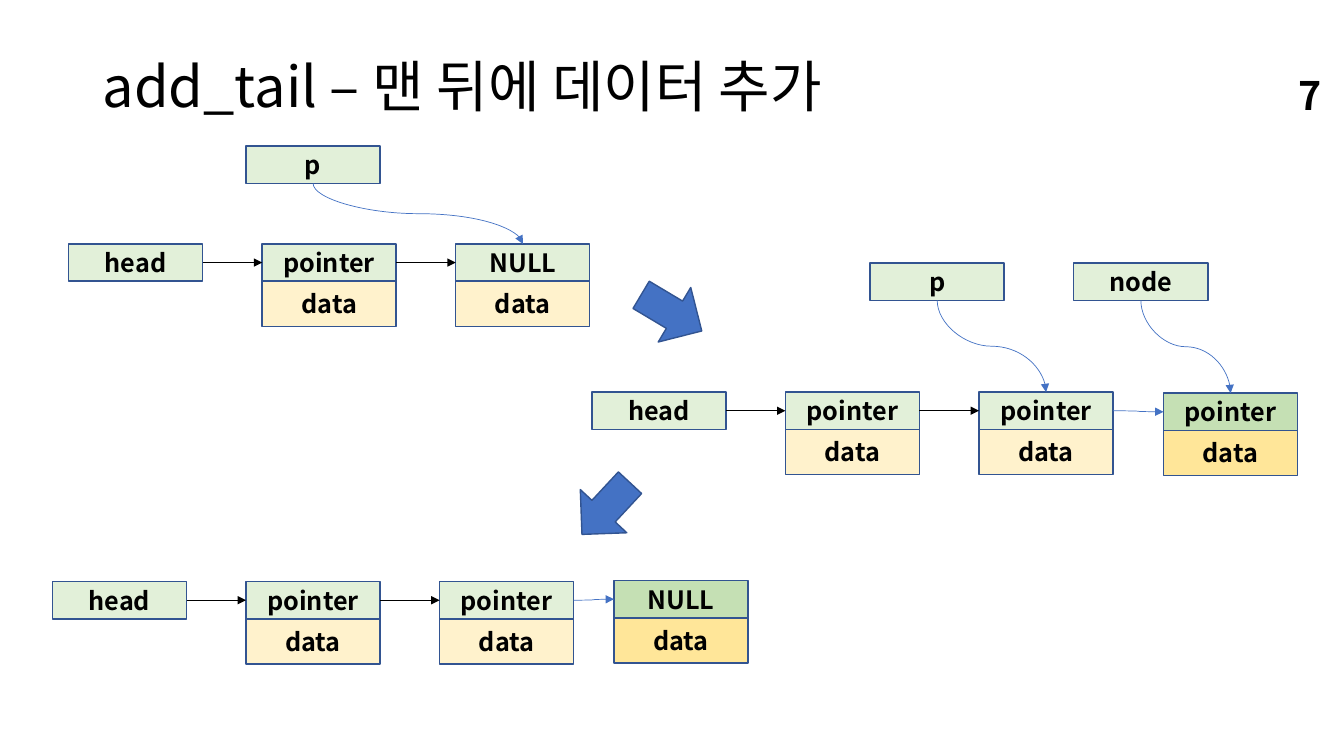
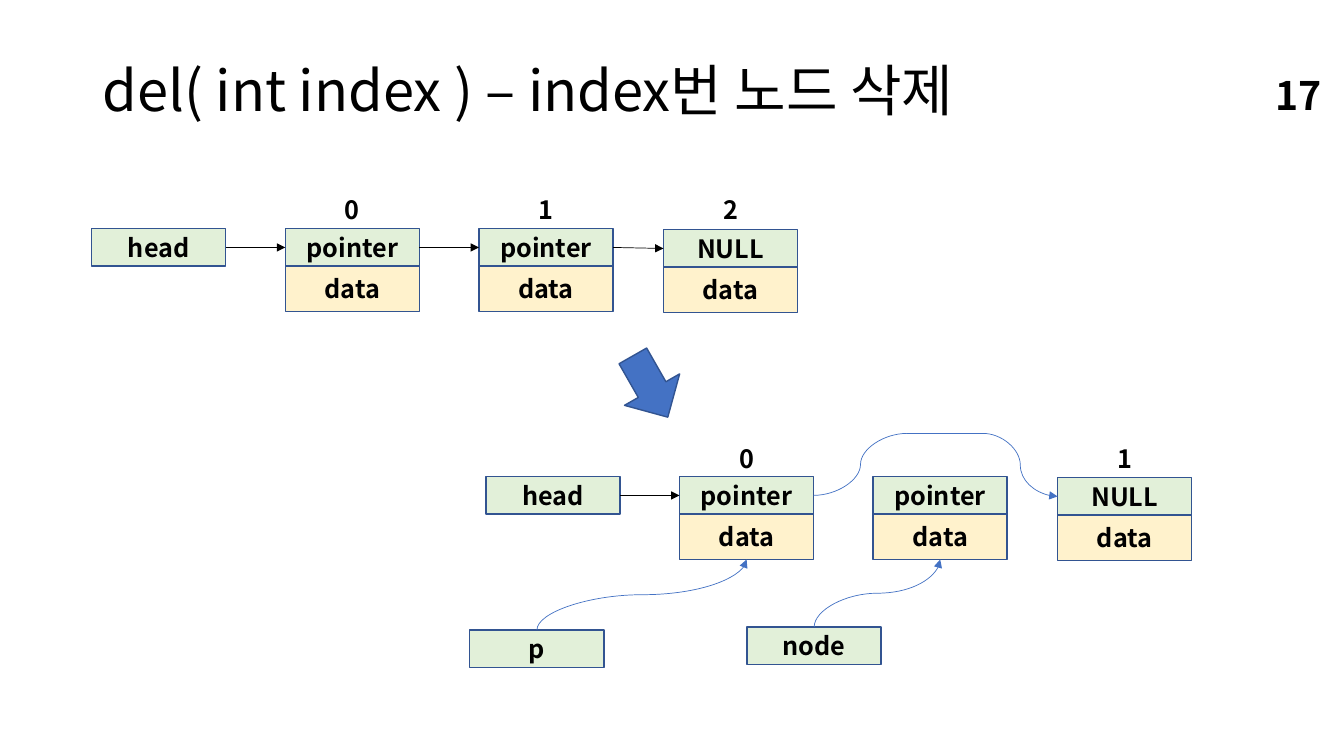
from lxml import etree
from pptx import Presentation
from pptx.dml.color import RGBColor
from pptx.enum.shapes import MSO_CONNECTOR, MSO_SHAPE
from pptx.enum.text import MSO_ANCHOR, MSO_AUTO_SIZE, PP_ALIGN
from pptx.oxml.ns import qn
from pptx.util import Inches, Pt

RECTANGLE = MSO_SHAPE.RECTANGLE
RIGHT_ARROW = MSO_SHAPE.RIGHT_ARROW
STRAIGHT = MSO_CONNECTOR.STRAIGHT
CURVE = MSO_CONNECTOR.CURVE
MIDDLE = MSO_ANCHOR.MIDDLE
TOP_ANCHOR = MSO_ANCHOR.TOP
NO_AUTOFIT = MSO_AUTO_SIZE.NONE
LEFT = PP_ALIGN.LEFT
CENTER = PP_ALIGN.CENTER
RIGHT = PP_ALIGN.RIGHT

FONT = "Noto Sans CJK KR"
BLACK = RGBColor(0x00, 0x00, 0x00)
BLUE = RGBColor(0x44, 0x72, 0xC4)
OUTLINE = RGBColor(0x32, 0x54, 0x91)
GREEN = RGBColor(0xE2, 0xF0, 0xD9)
YELLOW = RGBColor(0xFF, 0xF2, 0xCC)
NEW_GREEN = RGBColor(0xC5, 0xE0, 0xB4)
NEW_YELLOW = RGBColor(0xFF, 0xE6, 0x99)

CELL_WIDTH = 1.33
POINTER_HEIGHT = 0.37
DATA_HEIGHT = 0.46
DATA_OFFSET = 0.36
CELL_PITCH = 1.92
LABEL_WIDTH = 0.52
LABEL_HEIGHT = 0.4
LABEL_RISE = 0.38

TOP_SITE, LEFT_SITE, BOTTOM_SITE, RIGHT_SITE = range(4)


def write_text(shape, text, size, alignment, bold=True, anchor=MIDDLE):
    frame = shape.text_frame
    frame.text = text
    frame.word_wrap = True
    frame.auto_size = NO_AUTOFIT
    frame.vertical_anchor = anchor
    paragraph = frame.paragraphs[0]
    paragraph.alignment = alignment
    for run in paragraph.runs:
        font = run.font
        font.name = FONT
        font.size = Pt(size)
        font.bold = bold
        font.color.rgb = BLACK
        etree.SubElement(font._element, qn("a:ea")).set("typeface", FONT)


def add_text(slide, text, left, top, width, height, size, alignment, anchor=MIDDLE):
    box = slide.shapes.add_textbox(Inches(left), Inches(top), Inches(width), Inches(height))
    write_text(box, text, size, alignment, anchor=anchor)


def start_slide(presentation, title_text, title_height, number):
    slide = presentation.slides.add_slide(presentation.slide_layouts[5])
    title = slide.shapes.title
    title.left, title.top = Inches(0.92), Inches(0.4)
    title.width, title.height = Inches(11.5), Inches(title_height)
    write_text(title, title_text, 40, LEFT, bold=False)
    title.text_frame.paragraphs[0].line_spacing = 0.9
    add_text(slide, number, 9.97, 0.74, 3.24, 0.4, 28, RIGHT)
    return slide


def add_filled_shape(slide, kind, left, top, width, height, fill):
    shape = slide.shapes.add_shape(kind, Inches(left), Inches(top), Inches(width), Inches(height))
    shape.shadow.inherit = False
    shape.fill.solid()
    shape.fill.fore_color.rgb = fill
    shape.line.color.rgb = OUTLINE
    shape.line.width = Pt(1)
    return shape


def add_box(slide, text, left, top, fill=GREEN, height=POINTER_HEIGHT):
    box = add_filled_shape(slide, RECTANGLE, left, top, CELL_WIDTH, height, fill)
    write_text(box, text, 18, CENTER)
    return box


def add_node(slide, text, left, top, is_new=False):
    pointer_fill, data_fill = (NEW_GREEN, NEW_YELLOW) if is_new else (GREEN, YELLOW)
    data = add_box(slide, "data", left, top + DATA_OFFSET, data_fill, DATA_HEIGHT)
    pointer = add_box(slide, text, left, top, pointer_fill)
    return pointer, data


def add_step_arrow(slide, left, top, rotation):
    arrow = add_filled_shape(slide, RIGHT_ARROW, left, top, 0.7, 0.63, BLUE)
    arrow.rotation = rotation


def add_index(slide, text, left, top):
    label_left = left + (CELL_WIDTH - LABEL_WIDTH) / 2
    add_text(slide, text, label_left, top - LABEL_RISE, LABEL_WIDTH, LABEL_HEIGHT,
             18, CENTER, TOP_ANCHOR)


def site(shape, side):
    middle_x, middle_y = shape.left + shape.width // 2, shape.top + shape.height // 2
    return {
        TOP_SITE: (middle_x, shape.top),
        LEFT_SITE: (shape.left, middle_y),
        BOTTOM_SITE: (middle_x, shape.top + shape.height),
        RIGHT_SITE: (shape.left + shape.width, middle_y),
    }[side]


def add_line(slide, kind, start, end, color, has_head=True):
    connector = slide.shapes.add_connector(kind, *start, *end)
    connector.line.color.rgb = color
    connector.line.width = Pt(0.5)
    if has_head:
        outline = connector.line._get_or_add_ln()
        etree.SubElement(outline, qn("a:tailEnd")).set("type", "triangle")
    etree.SubElement(connector._element.spPr, qn("a:effectLst"))
    return connector


def link(slide, source, target):
    connector = add_line(slide, STRAIGHT, site(source, RIGHT_SITE), site(target, LEFT_SITE), BLACK)
    connector.begin_connect(source, RIGHT_SITE)
    connector.end_connect(target, LEFT_SITE)


def curve_across(slide, source, target):
    add_line(slide, CURVE, site(source, RIGHT_SITE), site(target, LEFT_SITE), BLUE)


def curve_upright(slide, source, source_side, target, target_side):
    start, end = site(source, source_side), site(target, target_side)
    center_x, center_y = (start[0] + end[0]) // 2, (start[1] + end[1]) // 2
    turned = [(center_x + center_y - y, center_y + x - center_x) for x, y in (start, end)]
    connector = add_line(slide, CURVE, *turned, BLUE)
    connector._element.spPr.find(qn("a:xfrm")).set("rot", str(270 * 60000))


def point_down(slide, text, left, top, pointer):
    box = add_box(slide, text, left, top)
    curve_upright(slide, box, BOTTOM_SITE, pointer, TOP_SITE)


def point_up(slide, text, left, top, data):
    box = add_box(slide, text, left, top)
    curve_upright(slide, box, TOP_SITE, data, BOTTOM_SITE)


def add_chain(slide, left, top, texts, link_count=2):
    head = add_box(slide, "head", left, top)
    nodes = [add_node(slide, text, left + CELL_PITCH * position, top)
             for position, text in enumerate(texts, 1)]
    pointers = [head] + [pointer for pointer, data in nodes]
    for source, target in list(zip(pointers, pointers[1:]))[:link_count]:
        link(slide, source, target)
    return nodes


def build_add_tail(presentation):
    slide = start_slide(presentation, "add_tail – 맨 뒤에 데이터 추가", 0.97, "7")

    before = add_chain(slide, 0.68, 2.42, ["pointer", "NULL"])
    point_down(slide, "p", 2.44, 1.45, before[-1][0])
    add_step_arrow(slide, 6.31, 2.79, 30.8)

    linked = add_chain(slide, 5.87, 3.89, ["pointer", "pointer"])
    new_pointer, _ = add_node(slide, "pointer", 11.54, 3.9, is_new=True)
    curve_across(slide, linked[-1][0], new_pointer)
    point_down(slide, "p", 8.63, 2.61, linked[-1][0])
    point_down(slide, "node", 10.65, 2.61, new_pointer)
    add_step_arrow(slide, 5.66, 4.73, 132.9)

    after = add_chain(slide, 0.52, 5.77, ["pointer", "pointer"])
    tail_pointer, _ = add_node(slide, "NULL", 6.09, 5.76, is_new=True)
    curve_across(slide, after[-1][0], tail_pointer)


def build_delete(presentation):
    slide = start_slide(presentation, "del( int index ) – index번 노드 삭제", 1.05, "17")

    before = add_chain(slide, 0.91, 2.27, ["pointer", "pointer"])
    last_pointer, _ = add_node(slide, "NULL", 6.58, 2.28)
    link(slide, before[-1][0], last_pointer)
    for index, left in enumerate((2.83, 4.75, 6.58)):
        add_index(slide, str(index), left, 2.26)
    add_step_arrow(slide, 6.1, 3.52, 60.3)

    kept, removed = add_chain(slide, 4.82, 4.73, ["pointer", "pointer"], link_count=1)
    tail_pointer, _ = add_node(slide, "NULL", 10.49, 4.74)
    for index, left in enumerate((6.74, 10.49)):
        add_index(slide, str(index), left, 4.73)
    point_up(slide, "p", 4.66, 6.25, kept[1])
    point_up(slide, "node", 7.41, 6.22, removed[1])

    bridge_start = Inches(9), Inches(4.3)
    bridge_end = Inches(9.75), Inches(4.3)
    add_line(slide, CURVE, site(kept[0], RIGHT_SITE), bridge_start, BLUE, has_head=False)
    add_line(slide, STRAIGHT, bridge_start, bridge_end, BLUE, has_head=False)
    add_line(slide, CURVE, bridge_end, site(tail_pointer, LEFT_SITE), BLUE)


def main():
    presentation = Presentation()
    presentation.slide_width = Inches(13.33)
    presentation.slide_height = Inches(7.5)
    build_add_tail(presentation)
    build_delete(presentation)
    presentation.save("out.pptx")


if __name__ == "__main__":
    main()
